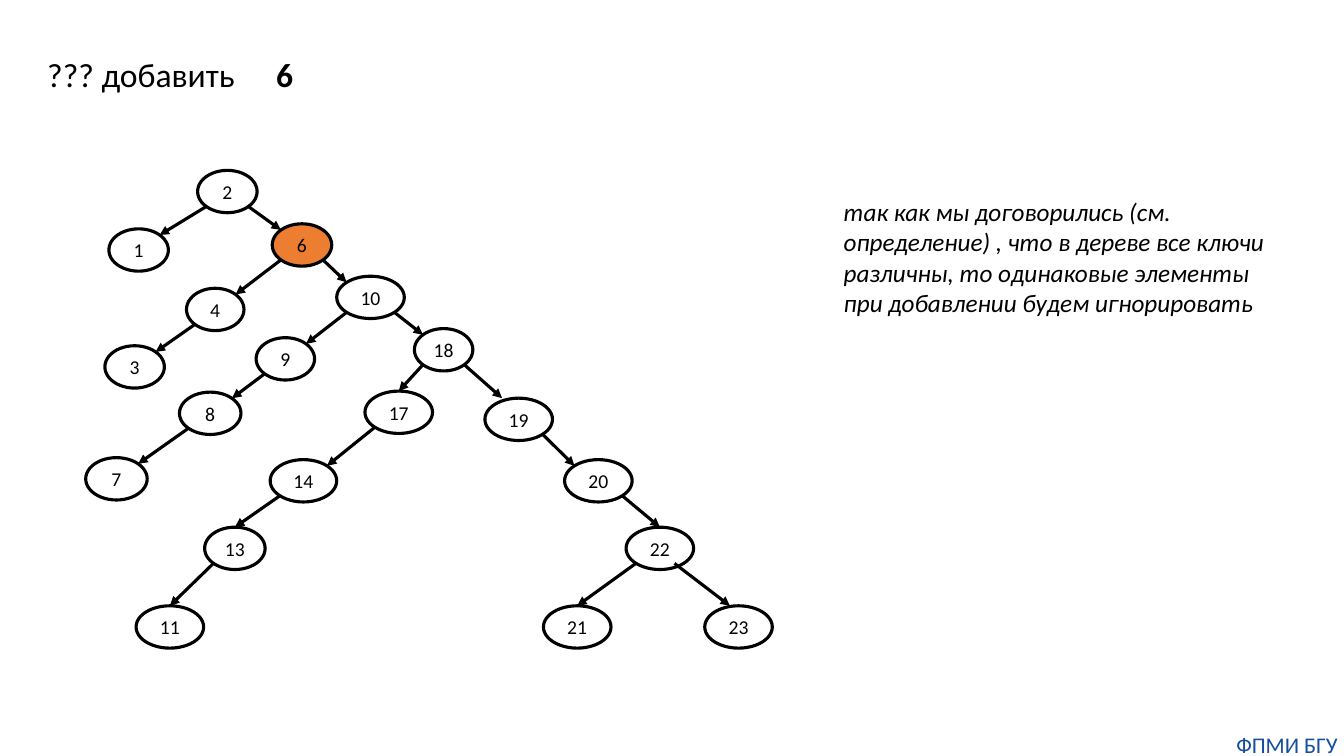
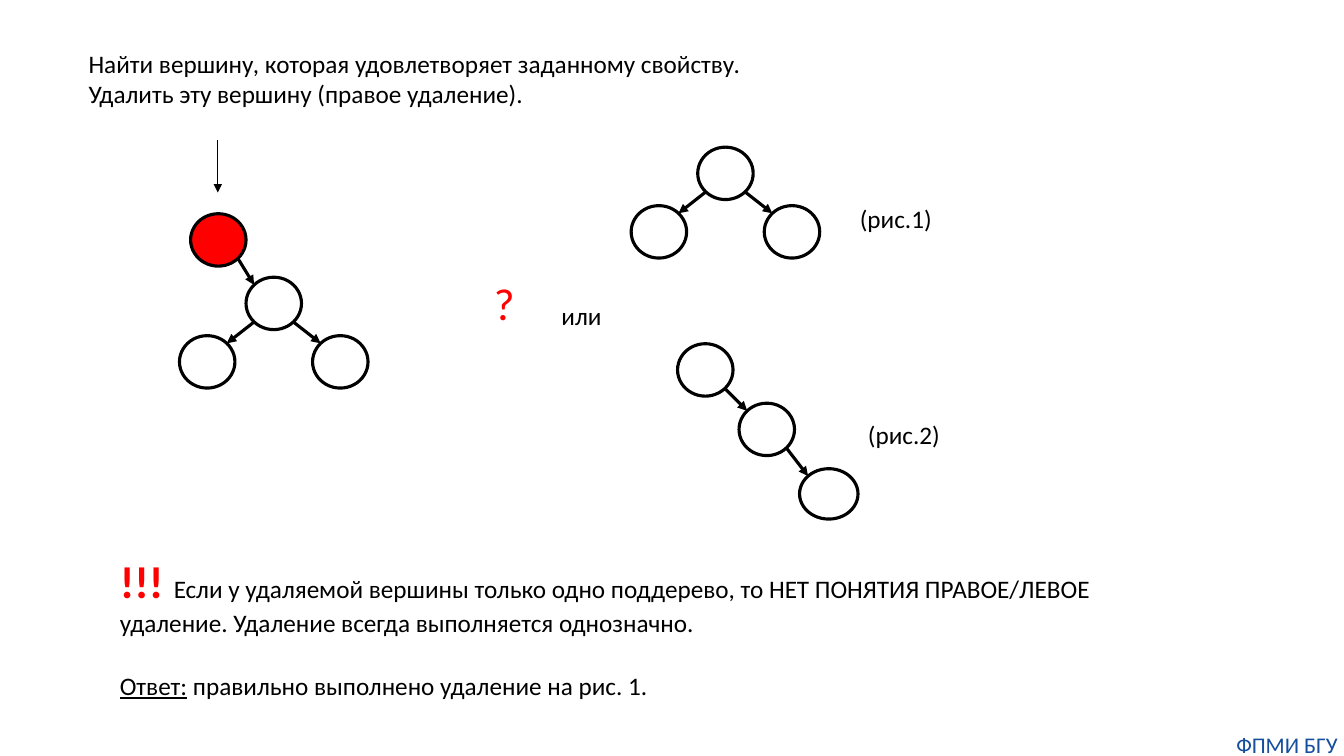
import lxml.etree
import pptx
import pptx.dml.color
import pptx.enum.shapes
import pptx.enum.text
import pptx.oxml.ns
import pptx.util

Inches = pptx.util.Inches
Pt = pptx.util.Pt
ALIGN = pptx.enum.text.PP_ALIGN

FONT = "Calibri"
BLACK, RED, ORANGE, NAVY = "000000", "FF0000", "ED7D31", "144E9D"
FOOTER = "ФПМИ БГУ"

# Search tree: key -> left, top, width of the node
KEY_H = 0.42
KEYS = {
    "2": (1.96, 1.69, 0.59), "1": (1.08, 2.27, 0.59), "6": (2.7, 2.22, 0.59),
    "4": (1.85, 2.86, 0.57), "3": (1.04, 3.43, 0.59), "10": (3.34, 2.74, 0.67),
    "9": (2.54, 3.35, 0.58), "8": (1.78, 3.89, 0.61), "7": (0.85, 4.54, 0.61),
    "18": (4.11, 3.26, 0.58), "17": (3.62, 3.88, 0.67), "14": (2.68, 4.56, 0.66),
    "13": (2.03, 5.23, 0.6), "11": (1.35, 6.01, 0.67), "19": (4.81, 3.95, 0.67),
    "20": (5.6, 4.56, 0.67), "22": (6.21, 5.23, 0.67), "21": (5.39, 6.01, 0.67),
    "23": (6.99, 6.01, 0.67),
}
CHILDREN = {
    "2": ["1", "6"], "6": ["4", "10"], "4": ["3"], "10": ["9", "18"],
    "9": ["8"], "8": ["7"], "18": ["17", "19"], "17": ["14"], "14": ["13"],
    "13": ["11"], "19": ["20"], "20": ["22"], "22": ["21", "23"],
}
ENTER_AT_TOP = {"17", "13", "11", "22", "21"}
# Arrows that leave or enter a node off its usual points
OWN_START = {"23": (6.69, 5.59)}
OWN_END = {"19": (4.98, 3.95), "23": (7.24, 6.01)}
FOUND_KEY = "6"

RULE = ("так как мы договорились (см. определение) , что в дереве все ключи "
        "различны, то одинаковые элементы при добавлении будем игнорировать")

# Deletion example: nodes are left, top, width, height
NODE_W, NODE_H = 0.55, 0.52
REMOVED = (1.89, 2.12, NODE_W, NODE_H)
SUBTREE_ROOTS = [(2.44, 2.75), (6.92, 1.46)]
CHILD_DX, CHILD_DY = 0.66, 0.58
CHAIN = [(6.72, 3.41, NODE_W, NODE_H), (7.33, 4, NODE_W, NODE_H),
         (7.93, 4.65, 0.58, 0.5)]

# Texts: box, wrapping, paragraphs of (text, format) runs
BODY = {"size": 18}
ADD_TEXTS = [
    ((0.37, 0.49, 2.15, 0.5), False, [[("??? добавить", {"size": 24})]]),
    ((2.64, 0.49, 0.37, 0.5), False, [[("6", {"size": 24, "bold": True})]]),
    ((8.27, 1.9, 4.43, 1.31), True, [[(RULE, {"size": 18, "italic": True})]]),
]
DELETE_TEXTS = [
    ((0.78, 0.43, 6.8, 0.71), False, [
        [("Найти вершину, которая удовлетворяет заданному свойству.", BODY)],
        [("Удалить эту вершину (правое удаление).", BODY)]]),
    ((4.8, 2.69, 0.77, 0.64), True, [[("?", {"size": 32, "color": RED})]]),
    ((5.47, 2.93, 0.8, 0.4), True, [[("или", BODY)]]),
    ((8.43, 1.97, 0.92, 0.4), False, [[("(рис.1)", BODY)]]),
    ((8.51, 4.11, 0.92, 0.4), False, [[("(рис.2)", BODY)]]),
    ((1.09, 5.44, 9.98, 0.94), False, [
        [("!!! ", {"size": 32, "color": RED, "bold": True}),
         ("Если у удаляемой вершины только одно поддерево, "
          "то НЕТ ПОНЯТИЯ ПРАВОЕ/ЛЕВОЕ", BODY)],
        [("удаление. Удаление всегда выполняется однозначно.", BODY)]]),
    ((1.09, 6.6, 5.63, 0.4), False, [
        [("Ответ:", {"size": 18, "underline": True}),
         (" правильно выполнено удаление на рис. 1.", BODY)]]),
]


def rgb(color):
    return pptx.dml.color.RGBColor.from_string(color)


def set_font(font, size, color=BLACK, bold=False, italic=False, underline=False):
    font.name, font.size = FONT, Pt(size)
    font.color.rgb = rgb(color)
    font.bold, font.italic, font.underline = bold, italic, underline


def no_insets(tf):
    tf.margin_left = tf.margin_right = tf.margin_top = tf.margin_bottom = 0


def add_text(s, box, wrap, paragraphs):
    tf = s.shapes.add_textbox(*map(Inches, box)).text_frame
    tf.word_wrap = wrap
    tf.auto_size = pptx.enum.text.MSO_AUTO_SIZE.SHAPE_TO_FIT_TEXT
    for i, runs in enumerate(paragraphs):
        p = tf.add_paragraph() if i else tf.paragraphs[0]
        for text, style in runs:
            r = p.add_run()
            r.text = text
            set_font(r.font, **style)
    return tf


def add_node(s, box, text="", fill=None):
    sp = s.shapes.add_shape(pptx.enum.shapes.MSO_SHAPE.OVAL, *map(Inches, box))
    sp.shadow.inherit = False
    if fill:
        sp.fill.solid()
        sp.fill.fore_color.rgb = rgb(fill)
    else:
        sp.fill.background()
    sp.line.color.rgb = rgb(BLACK)
    sp.line.width = Pt(2.25)
    if text:
        tf = sp.text_frame
        no_insets(tf)
        tf.vertical_anchor = pptx.enum.text.MSO_ANCHOR.MIDDLE
        tf.text = text
        p = tf.paragraphs[0]
        p.alignment = ALIGN.CENTER
        set_font(p.runs[0].font, 14)


def add_arrow(s, start, end, width=2.25):
    line = s.shapes.add_connector(pptx.enum.shapes.MSO_CONNECTOR.STRAIGHT,
                                  *map(Inches, start + end))
    line.line.color.rgb = rgb(BLACK)
    line.line.width = Pt(width)
    qn = pptx.oxml.ns.qn
    lxml.etree.SubElement(line.line._get_or_add_ln(), qn("a:tailEnd"), type="triangle")
    lxml.etree.SubElement(line._element.spPr, qn("a:effectLst"))


def rim_point(box, dx, dy):
    """Point of an ellipse on a diagonal; dx and dy are -1 or 1."""
    x, y, w, h = box
    reach = 0.5 ** 0.5
    return x + w / 2 * (1 + dx * reach), y + h / 2 * (1 + dy * reach)


def link(s, parent, child, start=None, end=None):
    side = 1 if child[0] > parent[0] else -1
    add_arrow(s, start or rim_point(parent, side, 1), end or rim_point(child, -side, -1))


def new_slide(prs, texts):
    s = prs.slides.add_slide(prs.slide_layouts[6])
    for text in texts:
        add_text(s, *text)
    tf = add_text(s, (12.2, 7.25, 1.13, 0.27), True,
                  [[(FOOTER, {"size": 16, "color": NAVY})]])
    no_insets(tf)
    tf.paragraphs[0].alignment = ALIGN.CENTER
    return s


def build_add_slide(prs):
    s = new_slide(prs, ADD_TEXTS)
    boxes = {key: place + (KEY_H,) for key, place in KEYS.items()}
    for key, box in boxes.items():
        add_node(s, box, key, ORANGE if key == FOUND_KEY else None)
    for parent, children in CHILDREN.items():
        for child in children:
            x, y, w, h = boxes[child]
            top = (x + w / 2, y) if child in ENTER_AT_TOP else None
            link(s, boxes[parent], boxes[child], OWN_START.get(child),
                 OWN_END.get(child, top))


def build_delete_slide(prs):
    s = new_slide(prs, DELETE_TEXTS)
    # Vertex to remove, with its pointer
    add_node(s, REMOVED, fill=RED)
    add_arrow(s, (2.16, 1.39), (2.16, 1.91), 0.5)
    # Root with two children, before and after
    for x, y in SUBTREE_ROOTS:
        root = (x, y, NODE_W, NODE_H)
        add_node(s, root)
        for dx in (-CHILD_DX, CHILD_DX):
            child = (x + dx, y + CHILD_DY, NODE_W, NODE_H)
            add_node(s, child)
            link(s, root, child)
    link(s, REMOVED, SUBTREE_ROOTS[0] + (NODE_W, NODE_H))
    # Chain of right children
    for box in CHAIN:
        add_node(s, box)
    for parent, child in zip(CHAIN, CHAIN[1:]):
        link(s, parent, child)


def main():
    prs = pptx.Presentation()
    prs.slide_width, prs.slide_height = Inches(13.33), Inches(7.5)
    build_add_slide(prs)
    build_delete_slide(prs)
    prs.save("out.pptx")


if __name__ == "__main__":
    main()
